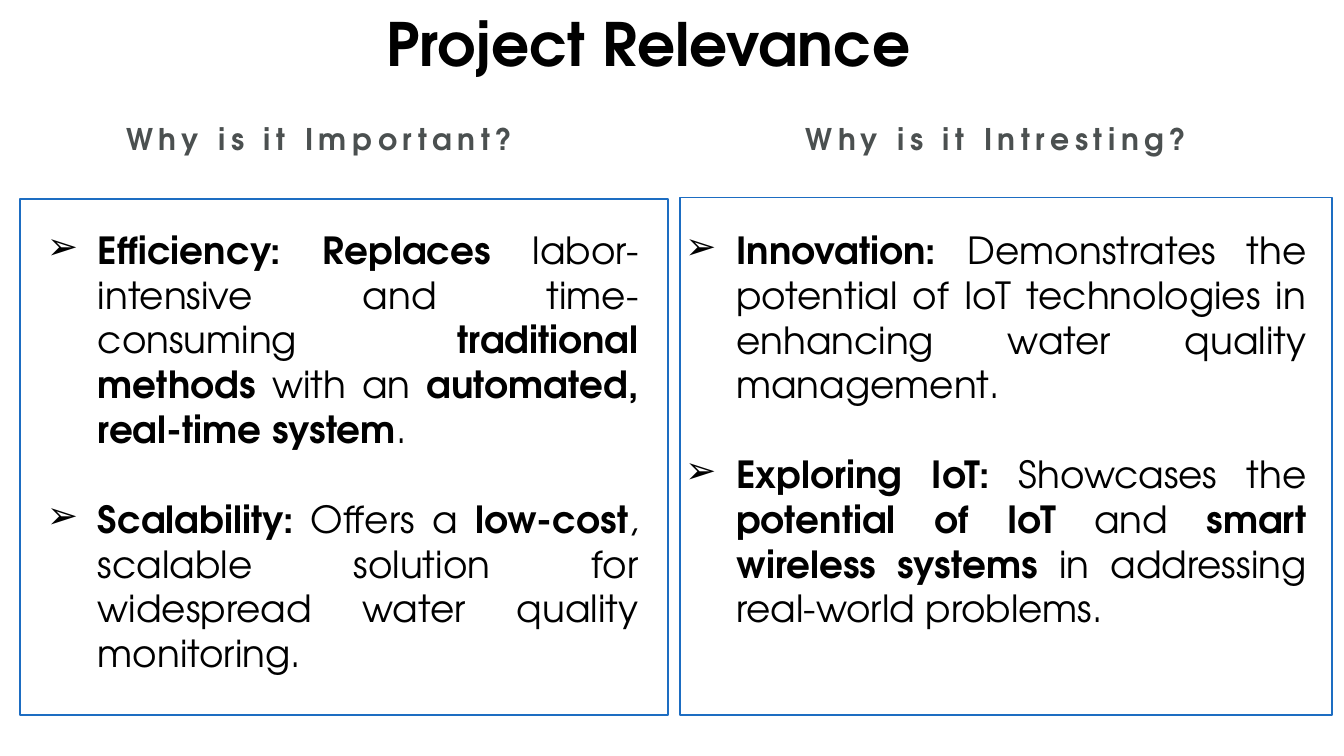
from lxml.etree import SubElement
from pptx import Presentation
from pptx.dml.color import RGBColor
from pptx.enum.shapes import MSO_SHAPE
from pptx.enum.text import PP_ALIGN
from pptx.oxml.ns import qn
from pptx.util import Inches, Pt

FONT = "TeX Gyre Adventor"
BLACK = RGBColor(0x00, 0x00, 0x00)
GRAY = RGBColor(0x4B, 0x50, 0x50)
BLUE = RGBColor(0x1D, 0x6D, 0xC2)
INDENT = Inches(0.38)

# Content: ** switches bold on and off; positions are left, top, width, height
TITLE = "**Project Relevance**"
COLUMNS = [
    {
        "heading": "**Why is it Important?**",
        "heading_at": (0.74, 0.9, 3.28, 0.27),
        "points": [
            "**Efficiency: Replaces** labor-intensive and time-consuming "
            "**traditional methods** with an **automated, real-time system**.",
            "**Scalability:** Offers a **low-cost**, scalable solution for "
            "widespread water quality monitoring.",
        ],
        "points_at": (0.25, 1.64, 4.6, 3.63),
        "frame_at": (0.15, 1.48, 4.82, 3.84),
    },
    {
        "heading": "**Why is it Intresting?**",
        "heading_at": (5.67, 0.9, 3.49, 0.27),
        "points": [
            "**Innovation:** Demonstrates the potential of IoT technologies "
            "in enhancing water quality management.",
            "**Exploring IoT:** Showcases the **potential of IoT** and "
            "**smart wireless systems** in addressing real-world problems.",
        ],
        "points_at": (5, 1.64, 4.82, 3.42),
        "frame_at": (5.06, 1.47, 4.85, 3.85),
    },
]


def add_text(slide, at, paragraphs, size, color=BLACK, align=PP_ALIGN.CENTER,
             wrap=True, inset=None, spacing=None, bullet=None, gap=0):
    frame = slide.shapes.add_textbox(*map(Inches, at)).text_frame
    frame.word_wrap = wrap
    if inset is not None:
        frame.margin_left = frame.margin_right = Inches(inset)
        frame.margin_top = frame.margin_bottom = Inches(inset)
    for i, text in enumerate(paragraphs):
        paragraph = frame.paragraphs[0] if i == 0 else frame.add_paragraph()
        paragraph.alignment = align
        if i and gap:
            paragraph.space_before = Pt(gap)
        if bullet:
            properties = paragraph._p.get_or_add_pPr()
            properties.set("marL", str(INDENT))
            properties.set("indent", str(-INDENT))
            SubElement(properties, qn("a:buFont")).set("typeface", FONT)
            SubElement(properties, qn("a:buChar")).set("char", bullet)
        for j, part in enumerate(text.split("**")):
            if not part:
                continue
            run = paragraph.add_run()
            run.text = part
            run.font.name = FONT
            run.font.size = Pt(size)
            run.font.bold = j % 2 == 1
            run.font.color.rgb = color
            if spacing:
                run.font._element.set("spc", str(spacing * 100))


# Widescreen slide, 16:9
presentation = Presentation()
presentation.slide_width = Inches(10)
presentation.slide_height = Inches(10 * 9 / 16)
slide = presentation.slides.add_slide(presentation.slide_layouts[6])

# Title
add_text(slide, (2.76, 0, 4.13, 0.53), [TITLE], 32, wrap=False)

# Two columns: heading and bullet points
for column in COLUMNS:
    add_text(slide, column["heading_at"], [column["heading"]], 16,
             color=GRAY, inset=0, spacing=3)
    add_text(slide, column["points_at"], column["points"], 20,
             align=PP_ALIGN.JUSTIFY, bullet="➢", gap=24)

# Outlines around the bullet points
for column in COLUMNS:
    outline = slide.shapes.add_shape(
        MSO_SHAPE.RECTANGLE, *map(Inches, column["frame_at"]))
    outline.shadow.inherit = False
    outline.fill.background()
    outline.line.color.rgb = BLUE
    outline.line.width = Pt(1)

presentation.save("out.pptx")
